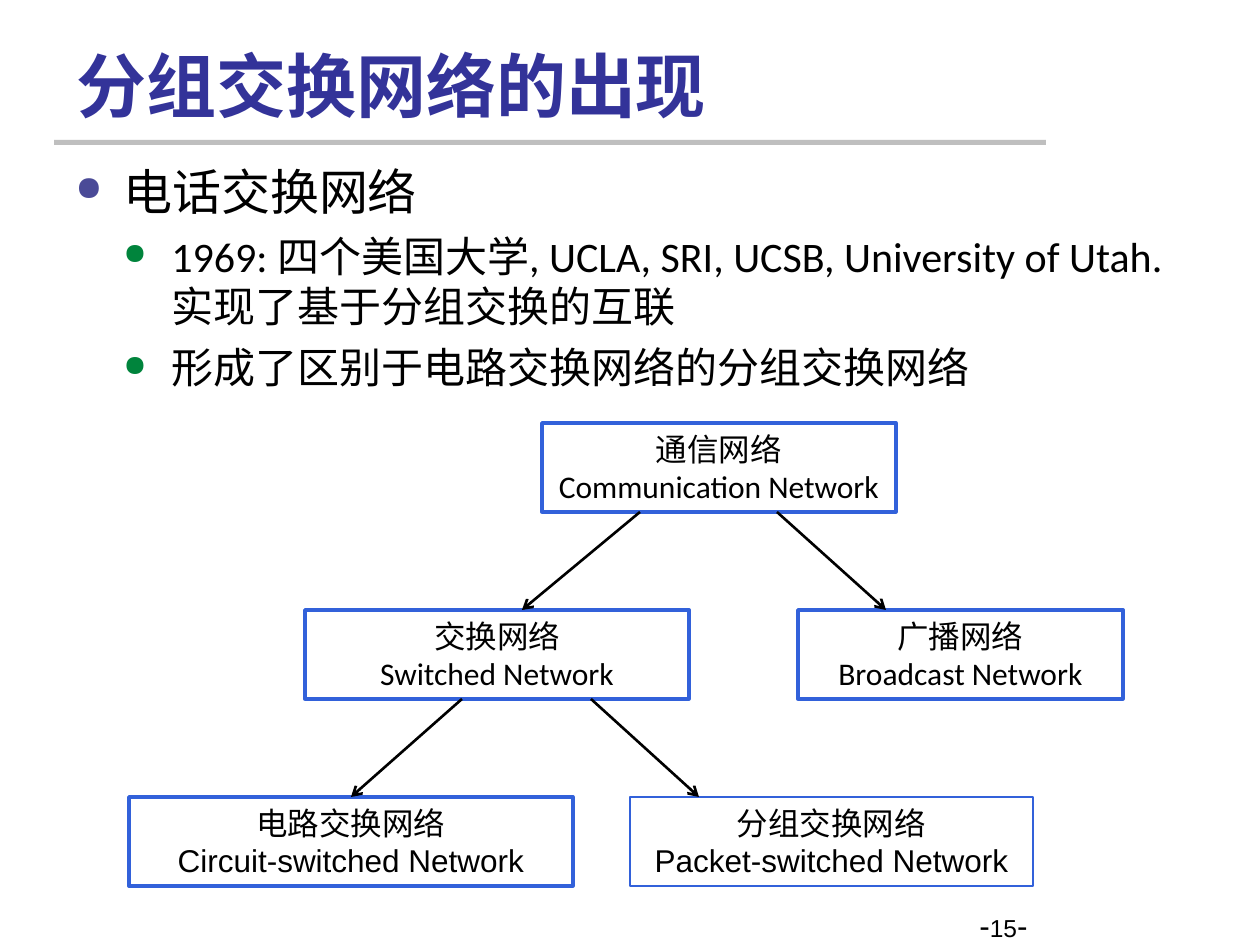
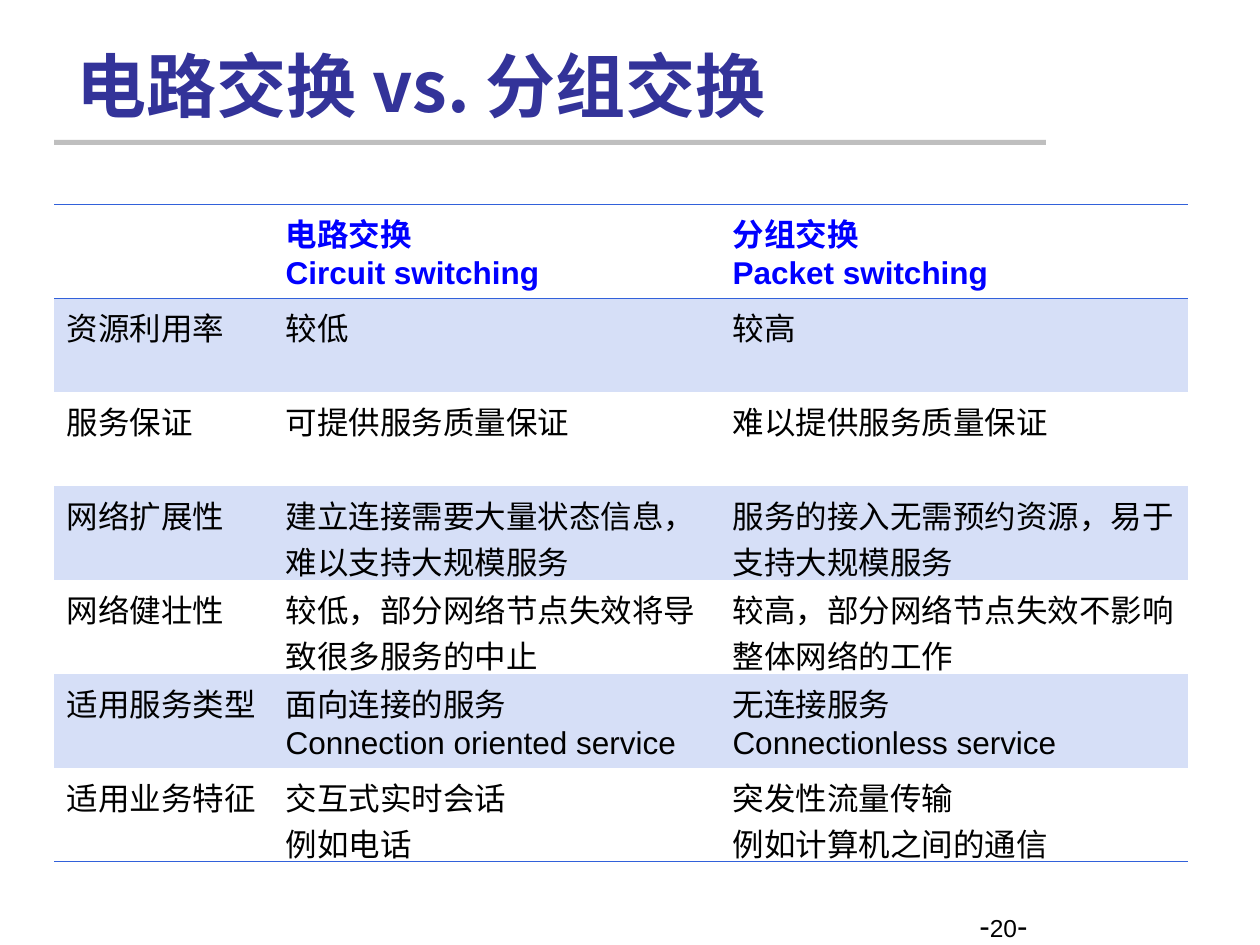
import pptx
import pptx.dml.color
import pptx.enum.shapes
import pptx.enum.text
import pptx.oxml.ns
import pptx.util
from lxml import etree
from dataclasses import dataclass

ENUM = pptx.enum
TITLE_ONLY = 5
PX = 914400 / 126


@dataclass(frozen=True)
class Theme:
    cjk: str = "Noto Sans CJK SC"
    latin: str = "Arial"
    body: str = "Calibri"
    title_color: str = "333399"
    rule: str = "BFBFBF"
    text: str = "000000"
    box_fill: str = "FFFFFF"
    accent: str = "3261DA"
    header: str = "0000FF"
    band: str = "D6DFF7"
    title_size: int = 40
    label_size: int = 18
    page_size: int = 14
    arrow_width: float = 1.5
    border_width: float = 0.45


T = Theme()

PACKET_TITLE = "分组交换网络的出现"
# level, text
POINTS = [
    (0, "电话交换网络"),
    (1, "1969: 四个美国大学, UCLA, SRI, UCSB, University of Utah. 实现了基于分组交换的互联"),
    (1, "形成了区别于电路交换网络的分组交换网络"),
]
# size, indent px, space before, bullet colour
LEVELS = [(28, 48, 0, "4A4A97"), (24, 96, 6, "00843C")]
HANGING = 48

# key: tree row, left, width, Chinese, English, English font, line width
NETWORKS = {
    "all": (0, 542, 354, "通信网络", "Communication Network", T.body, 2),
    "switched": (1, 305, 384, "交换网络", "Switched Network", T.body, 2),
    "broadcast": (1, 798, 325, "广播网络", "Broadcast Network", T.body, 2),
    "circuit": (2, 129, 444, "电路交换网络", "Circuit-switched Network", T.latin, 2),
    "packet": (2, 630, 403, "分组交换网络", "Packet-switched Network", T.latin, 0.75),
}
TREE_TOP, TREE_STEP, BOX_HEIGHT = 423, 187, 89
# parent, x at parent, child, x at child (None: middle of its top side)
BRANCHES = [
    ("all", 640, "switched", 522),
    ("all", 777, "broadcast", 886),
    ("switched", 462, "circuit", None),
    ("switched", 591, "packet", 699),
]

COMPARE_TITLE = "电路交换 vs. 分组交换"
COMPARISON = [
    ("", "电路交换\nCircuit switching", "分组交换\nPacket switching"),
    ("资源利用率", "较低", "较高"),
    ("服务保证", "可提供服务质量保证", "难以提供服务质量保证"),
    ("网络扩展性", "建立连接需要大量状态信息，难以支持大规模服务",
     "服务的接入无需预约资源，易于支持大规模服务"),
    ("网络健壮性", "较低，部分网络节点失效将导致很多服务的中止",
     "较高，部分网络节点失效不影响整体网络的工作"),
    ("适用服务类型", "面向连接的服务\nConnection oriented service", "无连接服务\nConnectionless service"),
    ("适用业务特征", "交互式实时会话\n例如电话", "突发性流量传输\n例如计算机之间的通信"),
]
COLUMNS = [219, 447, 468]
ROW_HEIGHT = 94


def px(*lengths):
    return [pptx.util.Emu(round(n * PX)) for n in lengths]


def rgb(color):
    return pptx.dml.color.RGBColor.from_string(color)


def sub(parent, tag, **attrs):
    return etree.SubElement(parent, pptx.oxml.ns.qn(tag), attrs)


def add_run(p, text, size, font=T.latin, color=T.text, bold=False, cjk=T.cjk):
    r = p.add_run()
    r.text = text
    r.font.size = pptx.util.Pt(size)
    r.font.bold = bold
    r.font.color.rgb = rgb(color)
    r.font.name = font
    r.font._element.set("lang", "zh-CN")
    sub(r.font._element, "a:ea", typeface=cjk)


def paragraphs(tf, count):
    return [tf.paragraphs[0]] + [tf.add_paragraph() for _ in range(count - 1)]


def add_rect(s, box, fill, line=None, width=0):
    sp = s.shapes.add_shape(ENUM.shapes.MSO_SHAPE.RECTANGLE, *px(*box))
    sp.shadow.inherit = False
    sp.fill.solid()
    sp.fill.fore_color.rgb = rgb(fill)
    if line:
        sp.line.color.rgb = rgb(line)
        sp.line.width = pptx.util.Pt(width)
    else:
        sp.line.fill.background()
    return sp


def add_text_frame(s, box):
    tf = s.shapes.add_textbox(*px(*box)).text_frame
    tf.word_wrap = True
    return tf


def add_slide(prs, title, number):
    """Add a slide with its title, the rule below it and the page number."""
    s = prs.slides.add_slide(prs.slide_layouts[TITLE_ONLY])
    add_rect(s, (54, 140, 992, 5), T.rule)
    sp = s.shapes.title
    sp.left, sp.top, sp.width, sp.height = px(64, 35, 1040, 98)
    tf = sp.text_frame
    tf.auto_size = ENUM.text.MSO_AUTO_SIZE.NONE
    tf.vertical_anchor = ENUM.text.MSO_ANCHOR.BOTTOM
    p = tf.paragraphs[0]
    p.alignment = ENUM.text.PP_ALIGN.LEFT
    add_run(p, title, T.title_size, T.cjk, T.title_color, True)

    p = add_text_frame(s, (967, 900, 293, 45)).paragraphs[0]
    for text, size in (("-", T.label_size), (str(number), T.page_size), ("-", T.label_size)):
        add_run(p, text, size)
    return s


def add_points(s):
    tf = add_text_frame(s, (63, 155, 1134, 260))
    for p, (level, text) in zip(paragraphs(tf, len(POINTS)), POINTS):
        size, indent, before, color = LEVELS[level]
        margin, hang = px(indent, -HANGING)
        p.level = level
        pPr = p._p.get_or_add_pPr()
        pPr.set("marL", str(margin))
        pPr.set("indent", str(hang))
        sub(sub(pPr, "a:buClr"), "a:srgbClr", val=color)
        sub(pPr, "a:buSzPct", val="70000")
        sub(pPr, "a:buChar", char="●")
        p.space_before = pptx.util.Pt(before)
        add_run(p, text, size, T.body, cjk=T.body)


def add_network(s, row, left, width, chinese, english, font, line_width):
    box = (left, TREE_TOP + row * TREE_STEP, width, BOX_HEIGHT)
    sp = add_rect(s, box, T.box_fill, T.accent, line_width)
    tf = sp.text_frame
    tf.word_wrap = False
    tf.vertical_anchor = ENUM.text.MSO_ANCHOR.MIDDLE
    for p, text in zip(paragraphs(tf, 2), (chinese, english)):
        p.alignment = ENUM.text.PP_ALIGN.CENTER
        add_run(p, text, T.label_size, font)
    return sp


def add_branch(s, parent, start_x, child, end_x):
    x1, x2 = px(start_x, end_x or 0)
    c = s.shapes.add_connector(ENUM.shapes.MSO_CONNECTOR.STRAIGHT,
                               x1, parent.top + parent.height, x2, child.top)
    if end_x is None:
        c.end_connect(child, 0)
    c.line.color.rgb = rgb(T.text)
    c.line.width = pptx.util.Pt(T.arrow_width)
    sub(c.line._get_or_add_ln(), "a:tailEnd", type="arrow")
    sub(c._element.spPr, "a:effectLst")


def set_borders(cell, top, bottom):
    tcPr = cell._tc.get_or_add_tcPr()
    for side, shown in (("L", False), ("R", False), ("T", top), ("B", bottom)):
        ln = sub(tcPr, f"a:ln{side}", w=str(pptx.util.Pt(T.border_width)))
        if shown:
            sub(sub(ln, "a:solidFill"), "a:srgbClr", val=T.accent)
        else:
            sub(ln, "a:noFill")


def add_comparison(s):
    rows, cols = len(COMPARISON), len(COLUMNS)
    box = px(54, 204, sum(COLUMNS), rows * ROW_HEIGHT)
    table = s.shapes.add_table(rows, cols, *box).table
    table.first_row = table.horz_banding = False
    for column, width in zip(table.columns, px(*COLUMNS)):
        column.width = width
    for i, texts in enumerate(COMPARISON):
        table.rows[i].height = px(ROW_HEIGHT)[0]
        color = T.text if i else T.header
        for j, text in enumerate(texts):
            cell = table.cell(i, j)
            set_borders(cell, top=i < 2, bottom=i in (0, rows - 1))
            if i % 2:
                cell.fill.solid()
                cell.fill.fore_color.rgb = rgb(T.band)
            else:
                cell.fill.background()
            lines = text.split("\n") if text else []
            for p, line in zip(paragraphs(cell.text_frame, len(lines)), lines):
                add_run(p, line, T.label_size, color=color, bold=i == 0)


def main():
    prs = pptx.Presentation()
    prs.slide_width, prs.slide_height = px(1260, 945)

    s = add_slide(prs, PACKET_TITLE, 15)
    add_points(s)
    boxes = {key: add_network(s, *network) for key, network in NETWORKS.items()}
    for parent, start_x, child, end_x in BRANCHES:
        add_branch(s, boxes[parent], start_x, boxes[child], end_x)

    s = add_slide(prs, COMPARE_TITLE, 20)
    add_comparison(s)
    prs.save("out.pptx")


if __name__ == "__main__":
    main()
